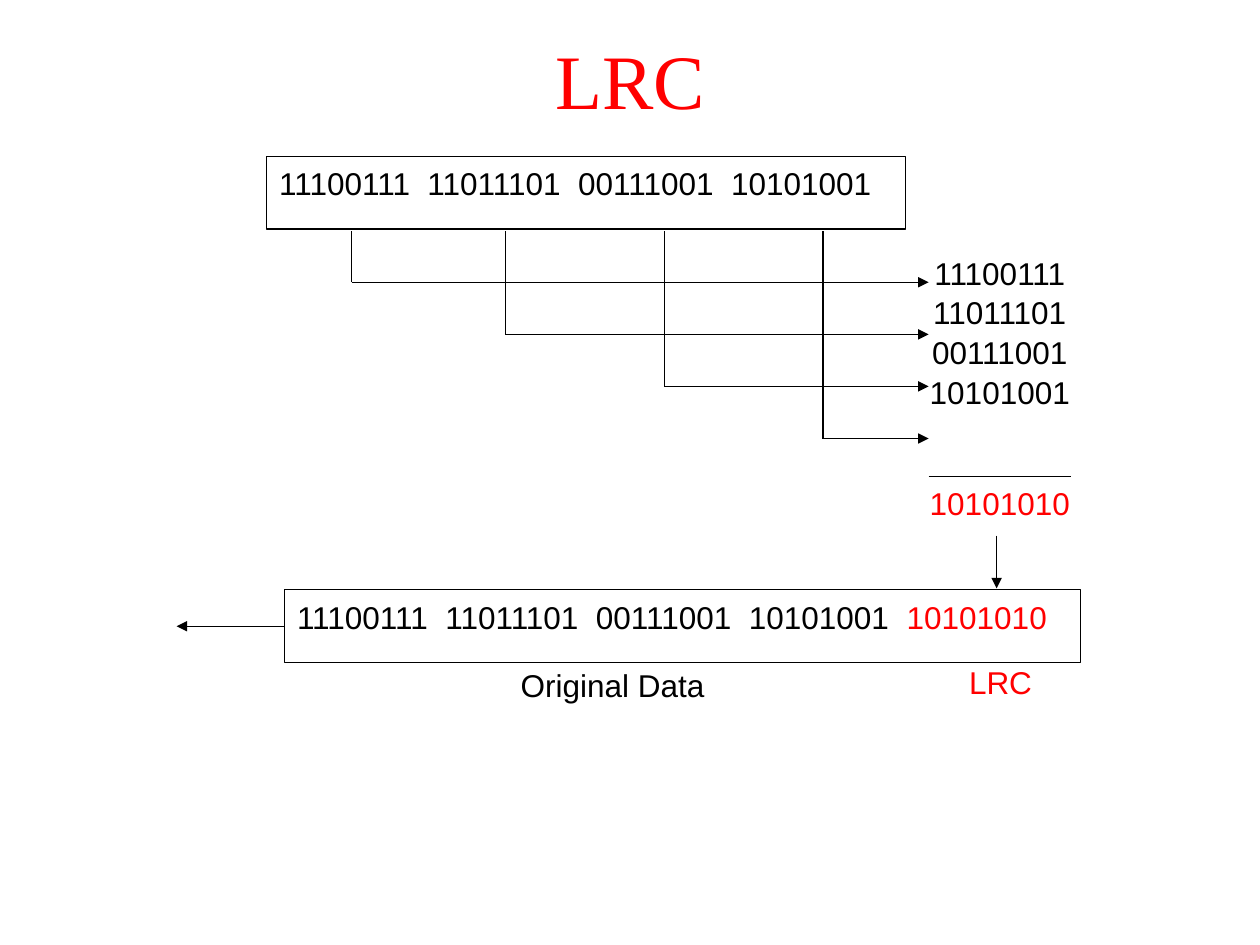
from lxml.etree import SubElement
from pptx import Presentation
from pptx.dml.color import RGBColor
from pptx.enum.shapes import MSO_CONNECTOR as CONN, MSO_SHAPE as SHAPE
from pptx.enum.text import MSO_ANCHOR as ANCHOR, PP_ALIGN as ALIGN
from pptx.oxml.ns import qn
from pptx.util import Cm, Pt

COLORS = {"ink": "000000", "accent": "FF0000"}
BYTES = ["11100111", "11011101", "00111001", "10101001"]
LRC = "10101010"
GAP = "  "


def color(name):
    return RGBColor.from_string(COLORS[name])


def add_run(p, text, name="ink", font="Arial", size=18):
    r = p.add_run()
    r.text = text
    r.font.name, r.font.size = font, Pt(size)
    r.font.color.rgb = color(name)


def write(sp, lines, align):
    tf = sp.text_frame
    tf.word_wrap = True
    tf.vertical_anchor = ANCHOR.TOP
    for i, runs in enumerate(lines):
        p = tf.add_paragraph() if i else tf.paragraphs[0]
        p.alignment, p.line_spacing = align, 1.05
        for text, name in runs:
            add_run(p, text, name)


def add_label(slide, box, lines):
    sp = slide.shapes.add_textbox(*map(Cm, box))
    write(sp, lines, ALIGN.CENTER)


def add_frame(slide, box, runs):
    sp = slide.shapes.add_shape(SHAPE.RECTANGLE, *map(Cm, box))
    sp.shadow.inherit = False
    sp.fill.background()
    sp.line.color.rgb, sp.line.width = color("ink"), Pt(0.75)
    write(sp, [runs], ALIGN.LEFT)
    return sp


def add_line(slide, x1, y1, x2, y2, arrow=False):
    cxn = slide.shapes.add_connector(CONN.STRAIGHT, *map(Cm, (x1, y1, x2, y2)))
    cxn.line.color.rgb, cxn.line.width = color("ink"), Pt(0.75)
    if arrow:
        SubElement(cxn.line._get_or_add_ln(), qn("a:tailEnd"), type="triangle")
    SubElement(cxn._element.spPr, qn("a:effectLst"))
    return cxn


def add_title(slide, box):
    title = slide.shapes.title
    title.left, title.top, title.width, title.height = map(Cm, box)
    tf = title.text_frame
    tf.vertical_anchor = ANCHOR.MIDDLE
    p = tf.paragraphs[0]
    p.alignment = ALIGN.CENTER
    add_run(p, "LRC", "accent", "Times New Roman", 44)


def add_source(slide, box):
    add_frame(slide, box, [(GAP.join(BYTES), "ink")])


def add_routes(slide, box):
    left, top, width, height = box
    step = 1.05
    for i, dx in enumerate((0, 3.1, 6.3, 9.5)):
        x = left + dx
        y = top + height - (len(BYTES) - 1 - i) * step
        add_line(slide, x, y, left + width, y, arrow=True)
        add_line(slide, x, y, x, top)


def add_parity(slide, box):
    left, top, width, height = box
    add_label(slide, box, [[(b, "ink")] for b in BYTES])
    bottom = top + height
    add_line(slide, left + 0.23, bottom, left + width - 0.23, bottom)
    add_label(slide, (left, bottom, width, 1.42), [[(LRC, "accent")]])
    add_line(slide, left + 1.6, bottom + 1.2, left + 1.6, bottom + 2.26, arrow=True)


def add_sent(slide, box):
    left, top, width, height = box
    frame = add_frame(slide, box, [(GAP.join(BYTES) + GAP, "ink"), (LRC, "accent")])
    y = top + height / 2
    cxn = add_line(slide, left, y, left - 2.18, y, arrow=True)
    cxn.begin_connect(frame, 1)
    add_label(slide, (left + 4.5, top + 1.37, 4.22, 1.42), [[("Original Data", "ink")]])
    add_label(slide, (left + 13.54, top + 1.32, 1.78, 1.42), [[("LRC", "accent")]])


def main():
    prs = Presentation()
    prs.slide_width, prs.slide_height = Cm(25.4), Cm(19.05)
    slide = prs.slides.add_slide(prs.slide_layouts[5])
    add_title(slide, (0, 0, 25.4, 3.18))
    add_source(slide, (5.38, 3.15, 12.88, 1.47))
    add_routes(slide, (7.09, 4.65, 11.63, 4.19))
    add_parity(slide, (18.49, 4.95, 3.33, 4.65))
    add_sent(slide, (5.74, 11.89, 16.05, 1.47))
    prs.save("out.pptx")


if __name__ == "__main__":
    main()
